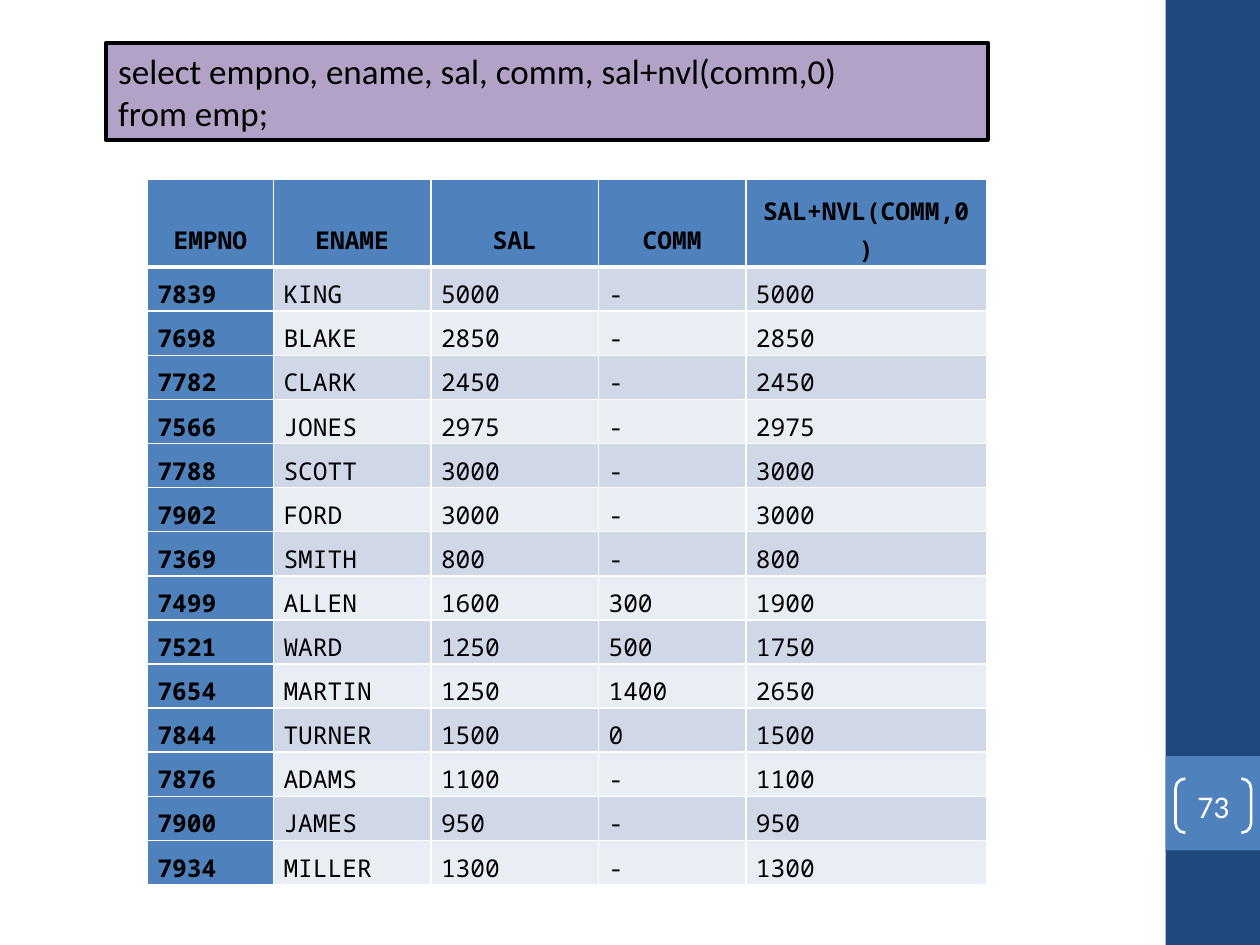
from lxml import etree
from pptx import Presentation
from pptx.dml.color import RGBColor
from pptx.enum.shapes import MSO_SHAPE
from pptx.enum.text import MSO_ANCHOR, PP_ALIGN
from pptx.oxml.ns import qn
from pptx.util import Inches, Pt

RECT, BRACKETS = MSO_SHAPE.RECTANGLE, MSO_SHAPE.DOUBLE_BRACKET
TOP, MIDDLE, BOTTOM = MSO_ANCHOR.TOP, MSO_ANCHOR.MIDDLE, MSO_ANCHOR.BOTTOM
LEFT, CENTER = PP_ALIGN.LEFT, PP_ALIGN.CENTER

NAVY = RGBColor(0x1F, 0x49, 0x7D)
BLUE = RGBColor(0x4F, 0x81, 0xBD)
LILAC = RGBColor(0xB3, 0xA2, 0xC7)
DARK = RGBColor(0xD0, 0xD8, 0xE8)
PALE = RGBColor(0xE9, 0xED, 0xF4)
BLACK = RGBColor(0x00, 0x00, 0x00)
WHITE = RGBColor(0xFF, 0xFF, 0xFF)

HEADS = ["EMPNO", "ENAME", "SAL", "COMM", "SAL+NVL(COMM,0)"]
STAFF = [
    (7839, "KING", 5000, None),
    (7698, "BLAKE", 2850, None),
    (7782, "CLARK", 2450, None),
    (7566, "JONES", 2975, None),
    (7788, "SCOTT", 3000, None),
    (7902, "FORD", 3000, None),
    (7369, "SMITH", 800, None),
    (7499, "ALLEN", 1600, 300),
    (7521, "WARD", 1250, 500),
    (7654, "MARTIN", 1250, 1400),
    (7844, "TURNER", 1500, 0),
    (7876, "ADAMS", 1100, None),
    (7900, "JAMES", 950, None),
    (7934, "MILLER", 1300, None),
]
WIDTHS = [1, 1.25, 1.33, 1.17, 1.91]


def add_box(kind, x, y, w, h, fill=None, line=None, width=0):
    box = slide.shapes.add_shape(kind, Inches(x), Inches(y), Inches(w), Inches(h))
    box.shadow.inherit = False
    if fill is None:
        box.fill.background()
    else:
        box.fill.solid()
        box.fill.fore_color.rgb = fill
    if line is None:
        box.line.fill.background()
    else:
        box.line.color.rgb = line
        box.line.width = Pt(width)
    return box


def add_text(para, text, size, font, color, align, bold=False):
    para.alignment = align
    run = para.add_run()
    run.text = text
    run.font.size = Pt(size)
    run.font.name = font
    run.font.bold = bold
    run.font.color.rgb = color


prs = Presentation()
prs.slide_width, prs.slide_height = Inches(10), Inches(7.5)
slide = prs.slides.add_slide(prs.slide_layouts[6])

add_box(RECT, 9.25, 0, 0.75, 7.5, NAVY)
add_box(RECT, 9.25, 6, 0.75, 0.75, BLUE)
badge = add_box(BRACKETS, 9.33, 6.18, 0.6, 0.43, None, WHITE, 1.5)
badge.adjustments[0] = 0.18
frame = badge.text_frame
frame.margin_left = frame.margin_right = frame.margin_top = frame.margin_bottom = 0
frame.vertical_anchor = MIDDLE
add_text(frame.paragraphs[0], "73", 18, "Calibri", WHITE, CENTER)

query = add_box(RECT, 0.84, 0.34, 7, 0.77, LILAC, BLACK, 2.25)
frame = query.text_frame
frame.word_wrap = True
frame.vertical_anchor = TOP
add_text(frame.paragraphs[0], "select empno, ename, sal, comm, sal+nvl(comm,0)",
         20, "Calibri", BLACK, LEFT)
add_text(frame.add_paragraph(), "from emp;", 20, "Calibri", BLACK, LEFT)

rows = [HEADS]
for number, name, sal, comm in STAFF:
    shown = "-" if comm is None else comm
    rows.append([number, name, sal, shown, sal + (comm or 0)])

table = slide.shapes.add_table(
    len(rows), len(HEADS), Inches(1.17), Inches(1.42), Inches(6.66), Inches(5.6)
).table
for col, width in zip(table.columns, WIDTHS):
    col.width = Inches(width)

for r, values in enumerate(rows):
    head = r == 0
    table.rows[r].height = Inches(0.7 if head else 0.35)
    for c, value in enumerate(values):
        cell = table.cell(r, c)
        wraps = head and c == len(HEADS) - 1
        cell.margin_left = cell.margin_right = Inches(0.12 if wraps else 0.08)
        cell.margin_top = Inches(0.08 if head else 0.04)
        cell.margin_bottom = Inches(0.01 if wraps else 0.08 if head else 0)
        cell.vertical_anchor = BOTTOM if head else MIDDLE
        para = cell.text_frame.paragraphs[0]
        para.line_spacing = 1.15
        add_text(para, str(value), 14, "Noto Sans Mono", BLACK,
                 CENTER if head else LEFT, head or c == 0)

        props = cell._tc.get_or_add_tcPr()
        for side in "LRTB":
            thick = (r, side) in [(0, "B"), (1, "T")]
            edge = etree.SubElement(props, qn(f"a:ln{side}"), w=str(Pt(3 if thick else 1)))
            paint = etree.SubElement(edge, qn("a:solidFill"))
            etree.SubElement(paint, qn("a:srgbClr"), val=str(WHITE))
        cell.fill.solid()
        band = DARK if r % 2 else PALE
        cell.fill.fore_color.rgb = BLUE if head or c == 0 else band

prs.save("out.pptx")
